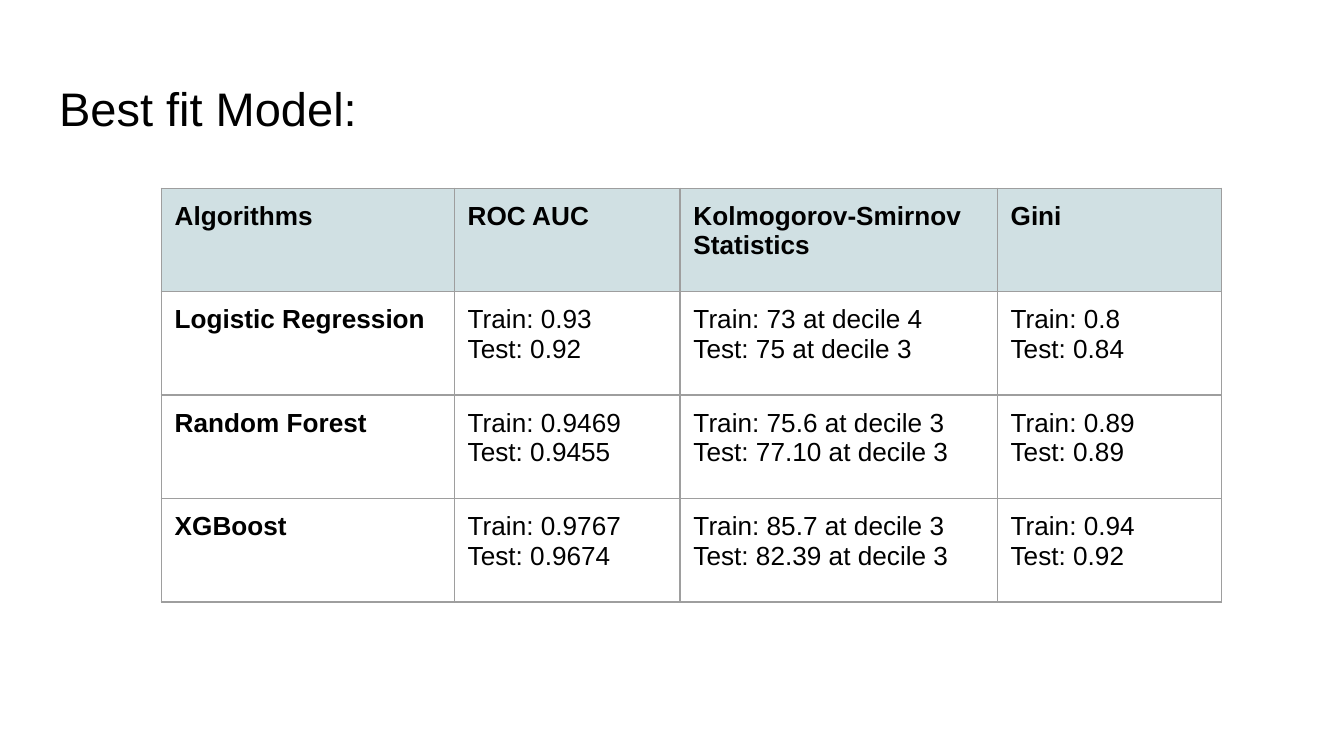
from lxml.etree import SubElement
from pptx import Presentation
from pptx.dml.color import RGBColor
from pptx.enum.text import MSO_ANCHOR, MSO_AUTO_SIZE, PP_ALIGN
from pptx.oxml.ns import qn
from pptx.util import Inches, Pt

COLORS = {"text": "000000", "header": "D0E0E3", "border": "9E9E9E"}
DECK_SIZE = {"slide_width": Inches(10), "slide_height": Inches(10 * 9 / 16)}
INSETS = {f"margin_{side}": Inches(0.1) for side in ("left", "top", "right", "bottom")}
TITLE_FRAME = {
    **INSETS,
    "word_wrap": True,
    "auto_size": MSO_AUTO_SIZE.NONE,
    "vertical_anchor": MSO_ANCHOR.MIDDLE,
}
TITLE_PLACE = {
    "left": Inches(0.34),
    "top": Inches(0.49),
    "width": Inches(9.32),
    "height": Inches(0.63),
}
CELL_FORMAT = {**INSETS, "vertical_anchor": MSO_ANCHOR.TOP}
COLUMN_WIDTHS = [2.18, 1.68, 2.36, 1.67]
ROW_HEIGHT = 0.77
HEADERS = ["Algorithms", "ROC AUC", "Kolmogorov-Smirnov Statistics", "Gini"]
RESULTS = [
    ("Logistic Regression", ("0.93", "0.92"), ("73 at decile 4", "75 at decile 3"), ("0.8", "0.84")),
    ("Random Forest", ("0.9469", "0.9455"), ("75.6 at decile 3", "77.10 at decile 3"), ("0.89", "0.89")),
    ("XGBoost", ("0.9767", "0.9674"), ("85.7 at decile 3", "82.39 at decile 3"), ("0.94", "0.92")),
]


def set_format(target, values):
    """Set each named attribute on the target."""
    for name, value in values.items():
        setattr(target, name, value)


def write_text(frame, lines, size, bold=False):
    """Fill a text frame with one left-aligned paragraph per line."""
    frame.text = "\n".join(lines)
    for para in frame.paragraphs:
        para.alignment = PP_ALIGN.LEFT
        for span in para.runs:
            set_format(span.font, {"name": "Arial", "size": Pt(size), "bold": bold})
            span.font.color.rgb = RGBColor.from_string(COLORS["text"])


def add_title(page, text):
    """Place and format the slide title."""
    box = page.shapes.title
    set_format(box, TITLE_PLACE)
    set_format(box.text_frame, TITLE_FRAME)
    write_text(box.text_frame, [text], 25.2)


def add_borders(cell):
    """Draw a thin line on all four sides of a cell."""
    properties = cell._tc.get_or_add_tcPr()
    for index, side in enumerate(("lnL", "lnR", "lnT", "lnB")):
        line = properties.makeelement(qn(f"a:{side}"), {"w": str(Pt(0.75))})
        fill = SubElement(line, qn("a:solidFill"))
        SubElement(fill, qn("a:srgbClr"), val=COLORS["border"])
        properties.insert(index, line)


def format_cell(cell, lines, bold, color=None):
    """Write a cell with its fill and borders."""
    set_format(cell, CELL_FORMAT)
    write_text(cell.text_frame, lines, 14, bold)
    if color:
        cell.fill.solid()
        cell.fill.fore_color.rgb = RGBColor.from_string(color)
    else:
        cell.fill.background()
    add_borders(cell)


def add_results_table(page):
    """Add the table that compares the models."""
    row_count = len(RESULTS) + 1
    table = page.shapes.add_table(
        row_count, len(HEADERS), Inches(1.2), Inches(1.4),
        Inches(sum(COLUMN_WIDTHS)), Inches(ROW_HEIGHT * row_count),
    ).table
    set_format(table, {"first_row": False, "horz_banding": False})
    for column, width in zip(table.columns, COLUMN_WIDTHS):
        column.width = Inches(width)
    for row in table.rows:
        row.height = Inches(ROW_HEIGHT)
    for index, header in enumerate(HEADERS):
        format_cell(table.cell(0, index), [header], True, COLORS["header"])
    for row_index, (algorithm, *scores) in enumerate(RESULTS, start=1):
        format_cell(table.cell(row_index, 0), [algorithm], True)
        for column_index, (train, test) in enumerate(scores, start=1):
            lines = [f"Train: {train}", f"Test: {test}"]
            format_cell(table.cell(row_index, column_index), lines, False)


def main():
    """Build and save the deck."""
    deck = Presentation()
    set_format(deck, DECK_SIZE)
    page = deck.slides.add_slide(deck.slide_layouts.get_by_name("Title Only"))
    add_title(page, "Best fit Model:")
    add_results_table(page)
    deck.save("out.pptx")


if __name__ == "__main__":
    main()
